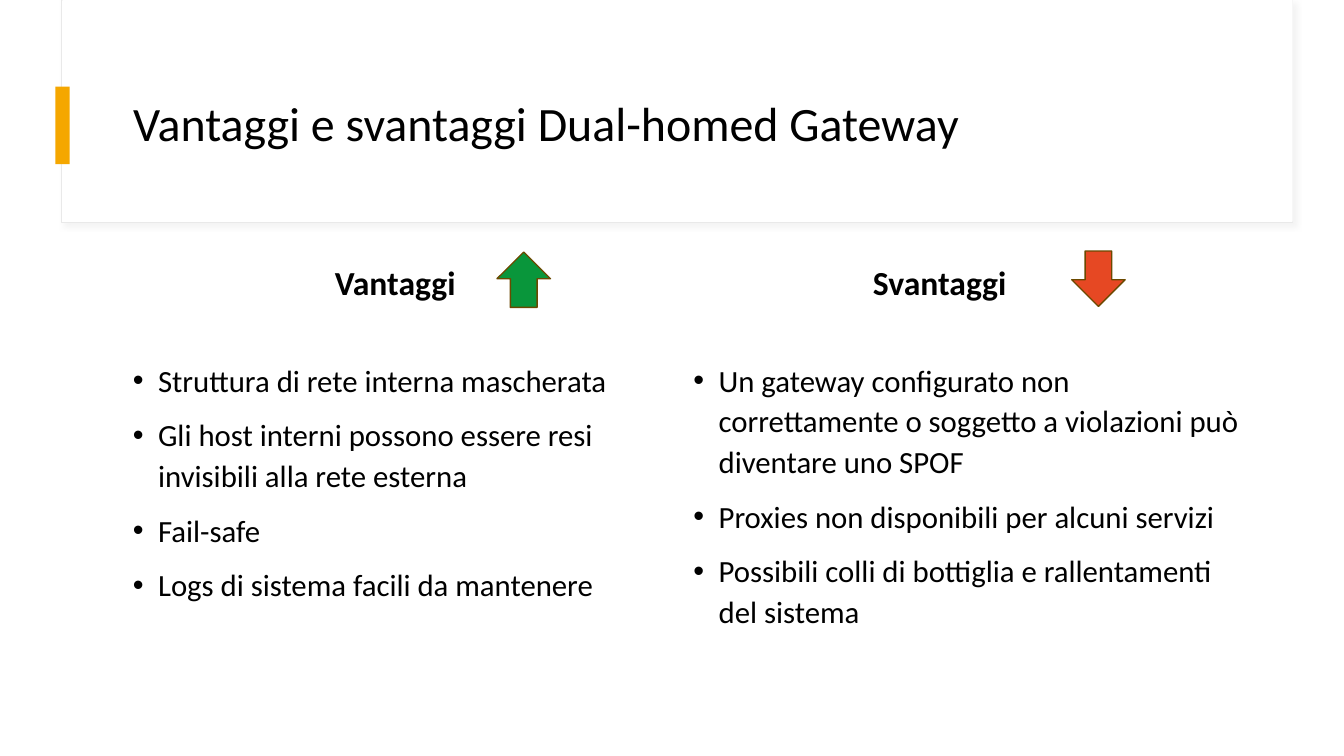
"""Build the slide on the pros and cons of a dual-homed gateway."""
from dataclasses import dataclass

from lxml import etree
from pptx import Presentation
from pptx import util as u
from pptx.dml.color import RGBColor
from pptx.enum import shapes, text
from pptx.oxml.ns import qn

FONT = "Calibri"
BLACK, WHITE = "000000", "FFFFFF"
BULLET_INDENT = u.Inches(0.25)


@dataclass(frozen=True)
class Box:
    left: float
    top: float
    width: float
    height: float

    def lengths(self) -> tuple:
        return tuple(u.Inches(v) for v in (self.left, self.top, self.width, self.height))


@dataclass(frozen=True)
class Panel:
    box: Box
    fill: str
    outline: str | None = None
    weight: float = 0.75
    preset: shapes.MSO_SHAPE = shapes.MSO_SHAPE.RECTANGLE


@dataclass(frozen=True)
class Column:
    heading: str
    heading_box: Box
    points: tuple[str, ...]
    points_box: Box
    arrow: Panel


HEADER_FRAME = Panel(Box(0.61, 0, 12.21, 2.21), WHITE, "E9E9E9")
HEADER_FACE = Panel(Box(0.62, 0, 12.2, 2.2), WHITE)
ACCENT_BAR = Panel(Box(0.55, 0.86, 0.14, 0.77), "F5A700")

COLUMNS = (
    Column(
        "Vantaggi",
        Box(1.22, 2.33, 5.4, 0.72),
        (
            "Struttura di rete interna mascherata",
            "Gli host interni possono essere resi invisibili alla rete esterna",
            "Fail-safe",
            "Logs di sistema facili da mantenere",
        ),
        Box(1.22, 3.5, 5.4, 3.25),
        Panel(Box(4.93, 2.5, 0.53, 0.55), "09963B", "6B4900", 1, shapes.MSO_SHAPE.UP_ARROW),
    ),
    Column(
        "Svantaggi",
        Box(6.62, 2.33, 5.4, 0.72),
        (
            "Un gateway configurato non correttamente o soggetto a violazioni "
            "può diventare uno SPOF",
            "Proxies non disponibili per alcuni servizi",
            "Possibili colli di bottiglia e rallentamenti del sistema",
        ),
        Box(6.78, 3.5, 5.7, 3.26),
        Panel(Box(10.63, 2.49, 0.53, 0.55), "E64823", "6B4900", 1, shapes.MSO_SHAPE.DOWN_ARROW),
    ),
)


def paint(color_format, hex_color: str) -> None:
    color_format.rgb = RGBColor.from_string(hex_color)


def add_panel(slide, panel: Panel):
    shape = slide.shapes.add_shape(panel.preset, *panel.box.lengths())
    shape.shadow.inherit = False
    shape.fill.solid()
    paint(shape.fill.fore_color, panel.fill)
    if panel.outline:
        shape.line.width = u.Pt(panel.weight)
        paint(shape.line.color, panel.outline)
    else:
        shape.line.fill.background()
    return shape


def add_soft_shadow(shape) -> None:
    effects = shape.element.spPr.find(qn("a:effectLst"))
    shadow = etree.SubElement(
        effects, qn("a:outerShdw"), blurRad=str(u.Pt(4)), dist=str(u.Pt(3)),
        dir=str(45 * 60000), algn="tl", rotWithShape="0",
    )
    tint = etree.SubElement(shadow, qn("a:srgbClr"), val="D9D9D9")
    etree.SubElement(tint, qn("a:alpha"), val="30000")


def style_paragraph(paragraph, size: float, spacing: float, bold: bool = False) -> None:
    paragraph.font.name = FONT
    paragraph.font.size = u.Pt(size)
    paragraph.font.bold = bold
    paint(paragraph.font.color, BLACK)
    paragraph.line_spacing = spacing


def add_bullet(paragraph) -> None:
    properties = paragraph._p.get_or_add_pPr()
    properties.set("marL", str(BULLET_INDENT))
    properties.set("indent", str(-BULLET_INDENT))
    bullet_font = etree.Element(qn("a:buFont"), typeface="Arial")
    bullet = etree.Element(qn("a:buChar"), char="•")
    run_defaults = properties.find(qn("a:defRPr"))
    run_defaults.addprevious(bullet_font)
    run_defaults.addprevious(bullet)


def add_text(slide, box: Box, lines: tuple[str, ...], size: float, heading: bool) -> None:
    frame = slide.shapes.add_textbox(*box.lengths()).text_frame
    frame.word_wrap = True
    frame.vertical_anchor = text.MSO_ANCHOR.BOTTOM if heading else text.MSO_ANCHOR.TOP
    frame.text = "\n".join(lines)
    for paragraph in frame.paragraphs:
        style_paragraph(paragraph, size, 1.1, bold=heading)
        paragraph.space_before = u.Pt(10)
        if heading:
            paragraph.alignment = text.PP_ALIGN.CENTER
        else:
            add_bullet(paragraph)


def place_title(slide, wording: str, box: Box) -> None:
    title = slide.shapes.title
    title.left, title.top, title.width, title.height = box.lengths()
    frame = title.text_frame
    frame.text = wording
    frame.auto_size = text.MSO_AUTO_SIZE.NONE
    frame.vertical_anchor = text.MSO_ANCHOR.MIDDLE
    paragraph = frame.paragraphs[0]
    paragraph.alignment = text.PP_ALIGN.LEFT
    style_paragraph(paragraph, 34.2, 0.9)
    title.element.getparent().append(title.element)


def main() -> None:
    deck = Presentation()
    deck.slide_width, deck.slide_height = u.Inches(13.33), u.Inches(7.5)
    slide = deck.slides.add_slide(deck.slide_layouts.get_by_name("Title Only"))

    add_soft_shadow(add_panel(slide, HEADER_FRAME))
    add_panel(slide, HEADER_FACE)
    add_panel(slide, ACCENT_BAR)
    place_title(slide, "Vantaggi e svantaggi Dual-homed Gateway", Box(1.22, 0.6, 11.12, 1.29))

    for column in COLUMNS:
        add_text(slide, column.heading_box, (column.heading,), 24, heading=True)
        add_text(slide, column.points_box, column.points, 22, heading=False)
        add_panel(slide, column.arrow)

    deck.save("out.pptx")


if __name__ == "__main__":
    main()
